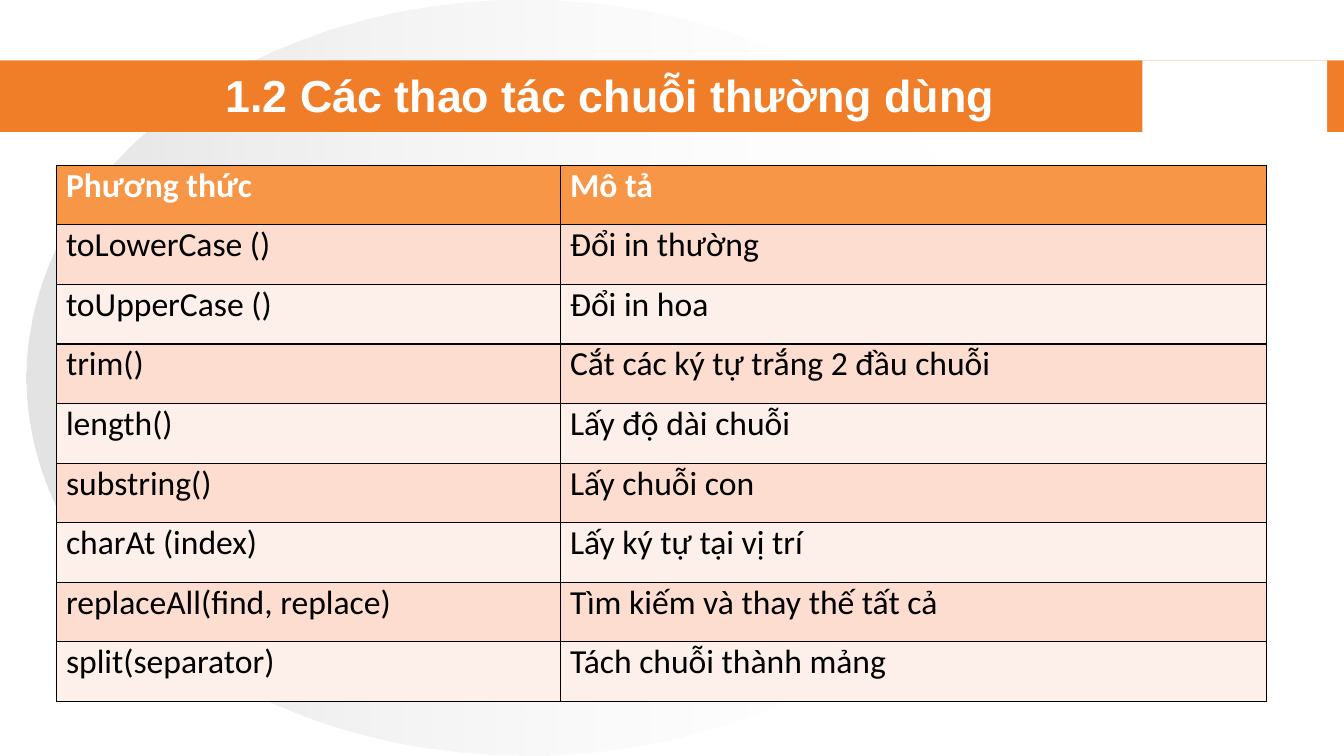
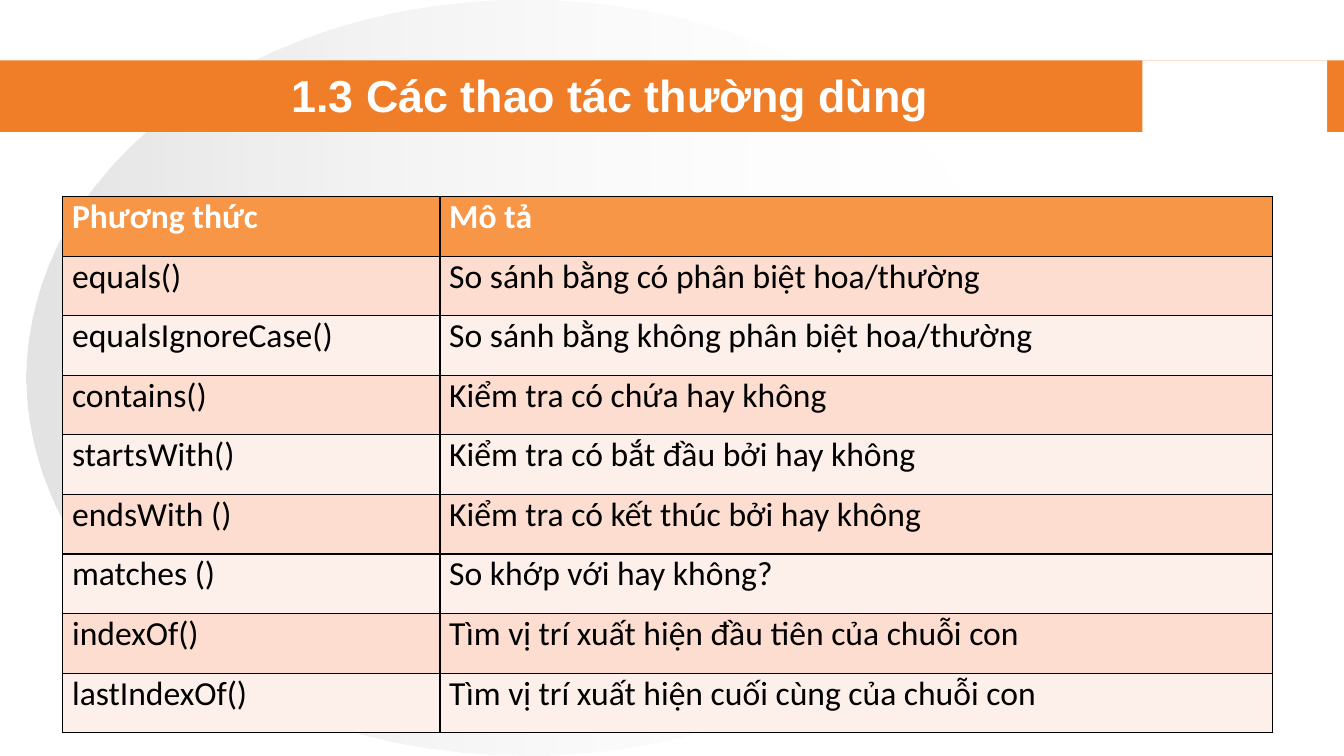
import dataclasses
import typing

import lxml.etree
import pptx
import pptx.dml.color
import pptx.enum.shapes
import pptx.enum.text
import pptx.oxml.ns
import pptx.presentation
import pptx.slide
import pptx.text.text
import pptx.util

Pt = pptx.util.Pt
RGBColor = pptx.dml.color.RGBColor
Shapes = pptx.enum.shapes.MSO_SHAPE
Align = pptx.enum.text.PP_ALIGN
Anchor = pptx.enum.text.MSO_ANCHOR
qn = pptx.oxml.ns.qn

WHITE = RGBColor(0xFF, 0xFF, 0xFF)
BLACK = RGBColor(0x00, 0x00, 0x00)
SILVER = RGBColor(0xC0, 0xC0, 0xC0)
BAND_ORANGE = RGBColor(0xF0, 0x7D, 0x27)
HEADER_ORANGE = RGBColor(0xF7, 0x96, 0x46)
ROW_PEACH = RGBColor(0xFC, 0xDD, 0xCF)
ROW_CREAM = RGBColor(0xFD, 0xEF, 0xE9)

TITLE_FONT = "Arial"
TABLE_FONT = "Calibri"
ROW_HEIGHT = 42.56
CELL_INDENT = 6.6
BORDER_WIDTH = 1
FIRST_LAYOUT_ID = 100
HEADER = ("Phương thức", "Mô tả")


@dataclasses.dataclass(frozen=True)
class Backdrop:
    preset: Shapes
    left: float
    top: float
    width: float
    height: float
    color: RGBColor
    fades: bool = False


@dataclasses.dataclass(frozen=True)
class MethodPage:
    title: str
    left: float
    top: float
    column_widths: tuple[float, float]
    rows: tuple[tuple[str, str], ...]


BACKDROPS = (
    Backdrop(Shapes.OVAL, 18.7, 0, 714.3, 540, SILVER, fades=True),
    Backdrop(Shapes.RECTANGLE, 0, 43.2, 960, 51.1, BAND_ORANGE),
    Backdrop(Shapes.RECTANGLE, 816, 43.2, 132, 51.1, WHITE),
)

METHOD_PAGES = (
    MethodPage(
        "1.2 Các thao tác chuỗi thường dùng",
        40.6,
        118.1,
        (360, 504),
        (
            ("toLowerCase ()", "Đổi in thường"),
            ("toUpperCase ()", "Đổi in hoa"),
            ("trim()", "Cắt các ký tự trắng 2 đầu chuỗi"),
            ("length()", "Lấy độ dài chuỗi"),
            ("substring()", "Lấy chuỗi con"),
            ("charAt (index)", "Lấy ký tự tại vị trí"),
            ("replaceAll(find, replace)", "Tìm kiếm và thay thế tất cả"),
            ("split(separator)", "Tách chuỗi thành mảng"),
        ),
    ),
    MethodPage(
        "1.3 Các thao tác thường dùng",
        44.9,
        140.4,
        (269.4, 594.6),
        (
            ("equals()", "So sánh bằng có phân biệt hoa/thường"),
            ("equalsIgnoreCase()", "So sánh bằng không phân biệt hoa/thường"),
            ("contains()", "Kiểm tra có chứa hay không"),
            ("startsWith()", "Kiểm tra có bắt đầu bởi hay không"),
            ("endsWith ()", "Kiểm tra có kết thúc bởi hay không"),
            ("matches ()", "So khớp với hay không?"),
            ("indexOf()", "Tìm vị trí xuất hiện đầu tiên của chuỗi con"),
            ("lastIndexOf()", "Tìm vị trí xuất hiện cuối cùng của chuỗi con"),
        ),
    ),
)


def write_text(
    frame: pptx.text.text.TextFrame,
    text: str,
    *,
    font: str,
    size: float,
    color: RGBColor,
    bold: bool = False,
    align: Align = Align.LEFT,
    anchor: Anchor = Anchor.TOP,
) -> None:
    frame.word_wrap = True
    frame.vertical_anchor = anchor
    para = frame.paragraphs[0]
    para.alignment = align
    span = para.add_run()
    span.text = text
    span.font.name = font
    span.font.size = Pt(size)
    span.font.bold = bold
    span.font.color.rgb = color


def fade_to_white(fill: typing.Any, element: typing.Any, color: RGBColor) -> None:
    fill.gradient()
    fill.gradient_angle = 0
    for stop, shade in zip(fill.gradient_stops, (color, WHITE)):
        stop.color.rgb = shade
    for shade, alpha in zip(element.iter(qn("a:srgbClr")), (44000, 0)):
        lxml.etree.SubElement(shade, qn("a:alpha"), val=str(alpha))


def dress_layout(page: pptx.slide.Slide) -> None:
    layout_tree = page.slide_layout.shapes.element
    for index, backdrop in enumerate(BACKDROPS):
        shape = page.shapes.add_shape(
            backdrop.preset,
            Pt(backdrop.left),
            Pt(backdrop.top),
            Pt(backdrop.width),
            Pt(backdrop.height),
        )
        shape.shadow.inherit = False
        shape.line.fill.background()
        if backdrop.fades:
            fade_to_white(shape.fill, shape.element, backdrop.color)
        else:
            shape.fill.solid()
            shape.fill.fore_color.rgb = backdrop.color
        properties = next(shape.element.iter(qn("p:cNvPr")))
        properties.set("id", str(FIRST_LAYOUT_ID + index))
        layout_tree.insert(2 + index, shape.element)


def add_title(page: pptx.slide.Slide, text: str) -> None:
    title = page.shapes.title
    title.left, title.top = Pt(120), Pt(48.2)
    title.width, title.height = Pt(632), Pt(38.4)
    title.text_frame.auto_size = pptx.enum.text.MSO_AUTO_SIZE.NONE
    write_text(
        title.text_frame,
        text,
        font=TITLE_FONT,
        size=32,
        color=WHITE,
        bold=True,
        align=Align.CENTER,
        anchor=Anchor.MIDDLE,
    )


def draw_borders(frame_element: typing.Any) -> None:
    for properties in list(frame_element.iter(qn("a:tcPr"))):
        for index, side in enumerate(("a:lnL", "a:lnR", "a:lnT", "a:lnB")):
            border = lxml.etree.Element(qn(side), w=str(int(Pt(BORDER_WIDTH))))
            fill = lxml.etree.SubElement(border, qn("a:solidFill"))
            lxml.etree.SubElement(fill, qn("a:srgbClr"), val=str(BLACK))
            properties.insert(index, border)


def add_method_table(page: pptx.slide.Slide, content: MethodPage) -> None:
    rows = (HEADER, *content.rows)
    frame = page.shapes.add_table(
        len(rows),
        len(HEADER),
        Pt(content.left),
        Pt(content.top),
        Pt(sum(content.column_widths)),
        Pt(ROW_HEIGHT * len(rows)),
    )
    table = frame.table
    table.horz_banding = False
    for column, width in zip(table.columns, content.column_widths):
        column.width = Pt(width)
    for row_index, texts in enumerate(rows):
        table.rows[row_index].height = Pt(ROW_HEIGHT)
        is_header = row_index == 0
        band_color = ROW_PEACH if row_index % 2 else ROW_CREAM
        for column_index, text in enumerate(texts):
            cell = table.cell(row_index, column_index)
            cell.margin_left = Pt(CELL_INDENT)
            cell.margin_top = cell.margin_right = cell.margin_bottom = Pt(0)
            cell.fill.solid()
            cell.fill.fore_color.rgb = HEADER_ORANGE if is_header else band_color
            write_text(
                cell.text_frame,
                text,
                font=TABLE_FONT,
                size=24,
                color=WHITE if is_header else BLACK,
                bold=is_header,
            )
    draw_borders(frame.element)


def main() -> None:
    deck = pptx.Presentation()
    deck.slide_width, deck.slide_height = Pt(960), Pt(540)
    layout = deck.slide_layouts.get_by_name("Title Only")
    pages = [deck.slides.add_slide(layout) for _ in METHOD_PAGES]
    dress_layout(pages[0])
    for page, content in zip(pages, METHOD_PAGES):
        add_title(page, content.title)
        add_method_table(page, content)
    deck.save("out.pptx")


if __name__ == "__main__":
    main()
